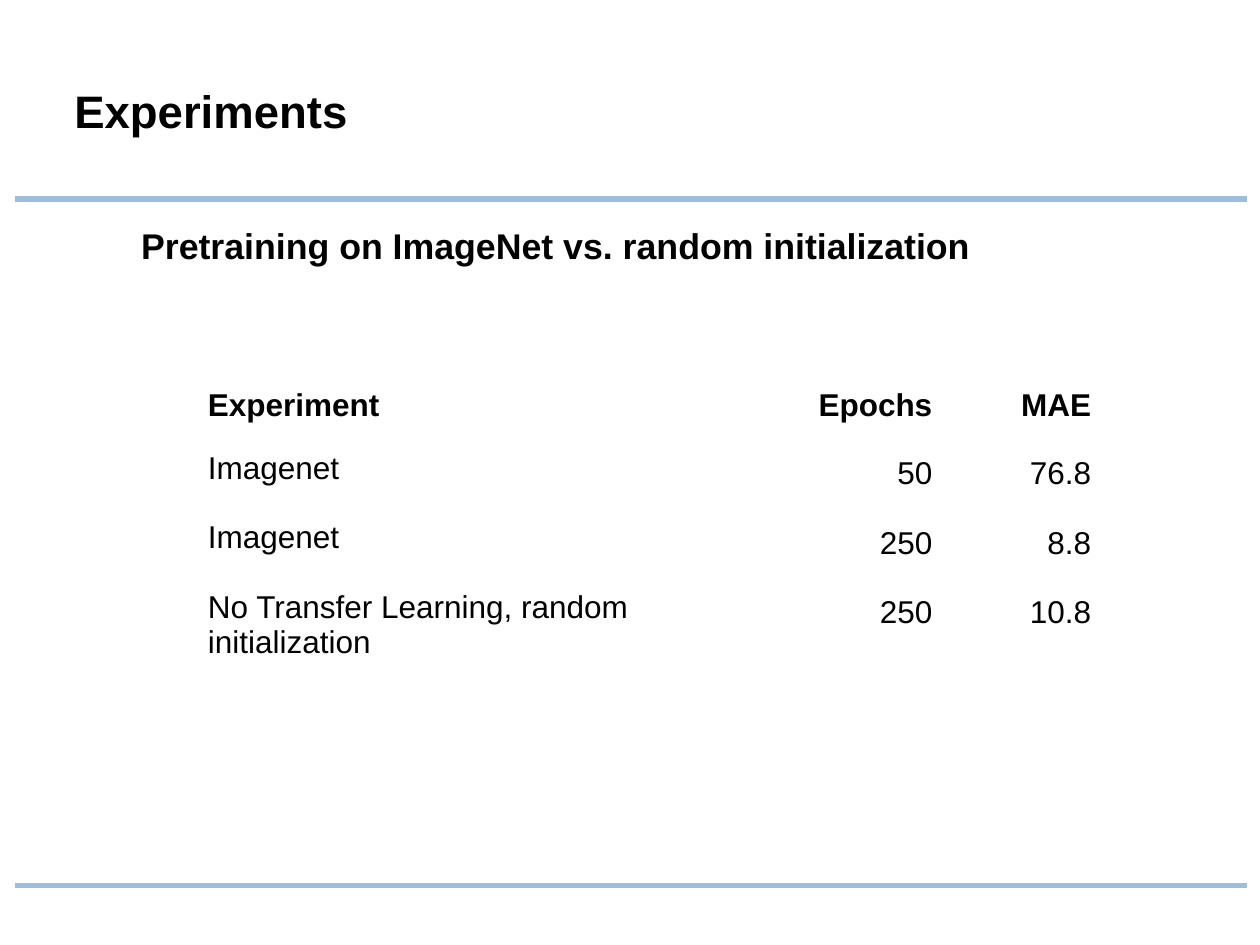
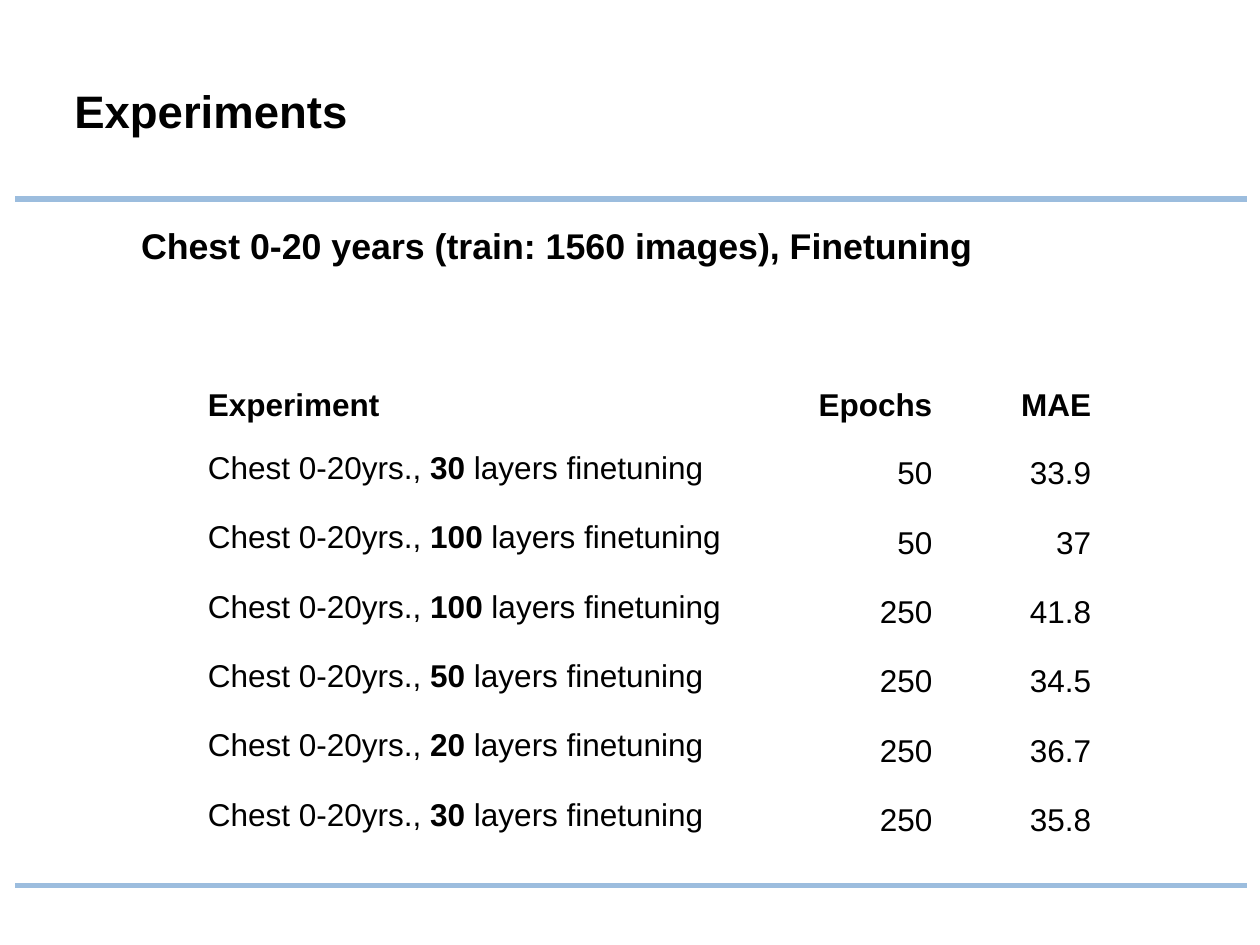
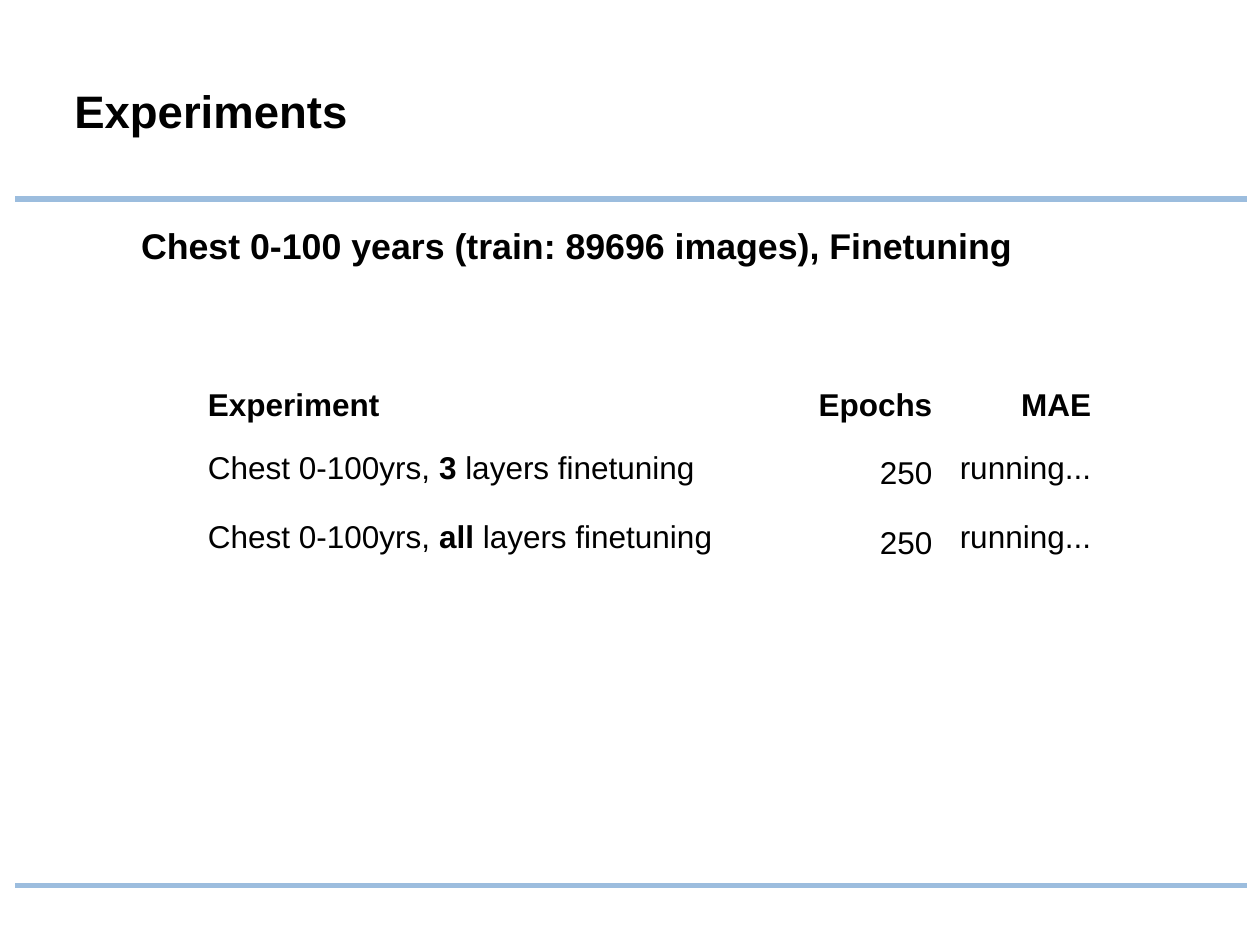
from typing import NamedTuple

import pptx
import pptx.dml.color
import pptx.enum.shapes
import pptx.enum.text
import pptx.util
from lxml import etree

# Grid: 100 columns by 75 rows of square cells
GRID_COLUMNS, GRID_ROWS = 100, 75
CELL = pptx.util.Inches(0.1)

# Shared style
FONT = "Arial"
BLACK = pptx.dml.color.RGBColor(0x00, 0x00, 0x00)
RULE_BLUE = pptx.dml.color.RGBColor(0x9C, 0xBD, 0xDE)
RIGHT = pptx.enum.text.PP_ALIGN.RIGHT

RULE_LEFT, RULE_RIGHT = 1.2, 99
RULE_ROWS = (15.8, 70.3)

TABLE_LEFT, TABLE_TOP = 15.5, 29.8
TABLE_COLUMNS = (46.9, 12.6, 12.6)
HEADER_HEIGHT, ROW_HEIGHT = 5, 5.5
HEADINGS = ("Experiment", "Epochs", "MAE")
NUMBER_SPACING = 1.15


class TextStyle(NamedTuple):
    left: float
    top: float
    width: float
    height: float
    size: float
    line_spacing: float
    indent: float = 0
    space_before: float = 0


TITLE = TextStyle(5.9, 7.1, 76.8, 8.9, 26, 0.9)
SUBTITLE = TextStyle(6.2, 18, 90.6, 8.9, 20.4, 0.95, indent=5, space_before=4.4)


class Run(NamedTuple):
    text: str
    bold: bool = False


class Experiment(NamedTuple):
    name: tuple[Run, ...]
    epochs: int
    error: str


class ExperimentSlide(NamedTuple):
    subtitle: str
    experiments: list[Experiment]


def plain(name: str, epochs: int, error: str) -> Experiment:
    return Experiment((Run(name),), epochs, error)


def finetuning(dataset: str, layers: str, epochs: int, error: str) -> Experiment:
    name = (Run(f"{dataset}, "), Run(layers, True), Run(" layers finetuning"))
    return Experiment(name, epochs, error)


YOUNG = "Chest 0-20yrs."
ALL_AGES = "Chest 0-100yrs"
SLIDES = [
    ExperimentSlide("Pretraining on ImageNet vs. random initialization", [
        plain("Imagenet", 50, "76.8"),
        plain("Imagenet", 250, "8.8"),
        plain("No Transfer Learning, random initialization", 250, "10.8"),
    ]),
    ExperimentSlide("Chest 0-20 years (train: 1560 images), Finetuning", [
        finetuning(YOUNG, "30", 50, "33.9"),
        finetuning(YOUNG, "100", 50, "37"),
        finetuning(YOUNG, "100", 250, "41.8"),
        finetuning(YOUNG, "50", 250, "34.5"),
        finetuning(YOUNG, "20", 250, "36.7"),
        finetuning(YOUNG, "30", 250, "35.8"),
    ]),
    ExperimentSlide("Chest 0-100 years (train: 89696 images), Finetuning", [
        finetuning(ALL_AGES, "3", 250, "running..."),
        finetuning(ALL_AGES, "all", 250, "running..."),
    ]),
]


def cells(count: float) -> int:
    """Length of a number of grid cells."""
    return round(count * CELL)


def set_font(font, size: float, bold: bool) -> None:
    font.name = FONT
    font.size = pptx.util.Pt(size)
    font.bold = bold
    font.color.rgb = BLACK


def add_rules(slide) -> None:
    for row in RULE_ROWS:
        rule = slide.shapes.add_connector(
            pptx.enum.shapes.MSO_CONNECTOR.STRAIGHT,
            cells(RULE_LEFT), cells(row), cells(RULE_RIGHT), cells(row))
        rule.line.color.rgb = RULE_BLUE
        rule.line.width = pptx.util.Pt(3)
        properties = rule.element.spPr
        etree.SubElement(properties, pptx.oxml.ns.qn("a:effectLst"))


def add_text(slide, text: str, style: TextStyle) -> None:
    box = slide.shapes.add_textbox(
        cells(style.left), cells(style.top), cells(style.width), cells(style.height))
    frame = box.text_frame
    frame.word_wrap = True
    frame.margin_left = frame.margin_top = frame.margin_right = frame.margin_bottom = 0
    paragraph = frame.paragraphs[0]
    paragraph.text = text
    paragraph.line_spacing = style.line_spacing
    paragraph.space_before = pptx.util.Pt(style.space_before)
    if style.indent:
        paragraph._p.get_or_add_pPr().set("marL", str(cells(style.indent)))
    set_font(paragraph.font, style.size, bold=True)


def fill_cell(cell, runs: tuple[Run, ...], bold: bool = False,
              right: bool = False, line_spacing: float | None = None) -> None:
    cell.fill.background()
    cell.margin_left = cell.margin_top = cells(1)
    cell.margin_right = cell.margin_bottom = cells(1)
    paragraph = cell.text_frame.paragraphs[0]
    set_font(paragraph.font, 18, bold)
    if right:
        paragraph.alignment = RIGHT
    if line_spacing:
        paragraph.line_spacing = line_spacing
    for part in runs:
        run = paragraph.add_run()
        run.text = part.text
        if part.bold:
            run.font.bold = True


def add_results(slide, experiments: list[Experiment]) -> None:
    heights = [HEADER_HEIGHT] + [ROW_HEIGHT] * len(experiments)
    table = slide.shapes.add_table(
        len(heights), len(TABLE_COLUMNS), cells(TABLE_LEFT), cells(TABLE_TOP),
        cells(sum(TABLE_COLUMNS)), cells(sum(heights))).table
    table.first_row = table.horz_banding = False
    for column, width in zip(table.columns, TABLE_COLUMNS):
        column.width = cells(width)
    for row, height in zip(table.rows, heights):
        row.height = cells(height)

    for index, heading in enumerate(HEADINGS):
        fill_cell(table.cell(0, index), (Run(heading),), bold=True, right=index > 0)
    for index, experiment in enumerate(experiments, start=1):
        fill_cell(table.cell(index, 0), experiment.name)
        for column, value in enumerate((str(experiment.epochs), experiment.error), start=1):
            is_number = value[0].isdigit()
            fill_cell(table.cell(index, column), (Run(value),), right=True,
                      line_spacing=NUMBER_SPACING if is_number else None)


def main() -> None:
    presentation = pptx.Presentation()
    presentation.slide_width = cells(GRID_COLUMNS)
    presentation.slide_height = cells(GRID_ROWS)
    for content in SLIDES:
        slide = presentation.slides.add_slide(presentation.slide_layouts[6])
        add_rules(slide)
        add_text(slide, "Experiments", TITLE)
        add_text(slide, content.subtitle, SUBTITLE)
        add_results(slide, content.experiments)
    presentation.save("out.pptx")


if __name__ == "__main__":
    main()
